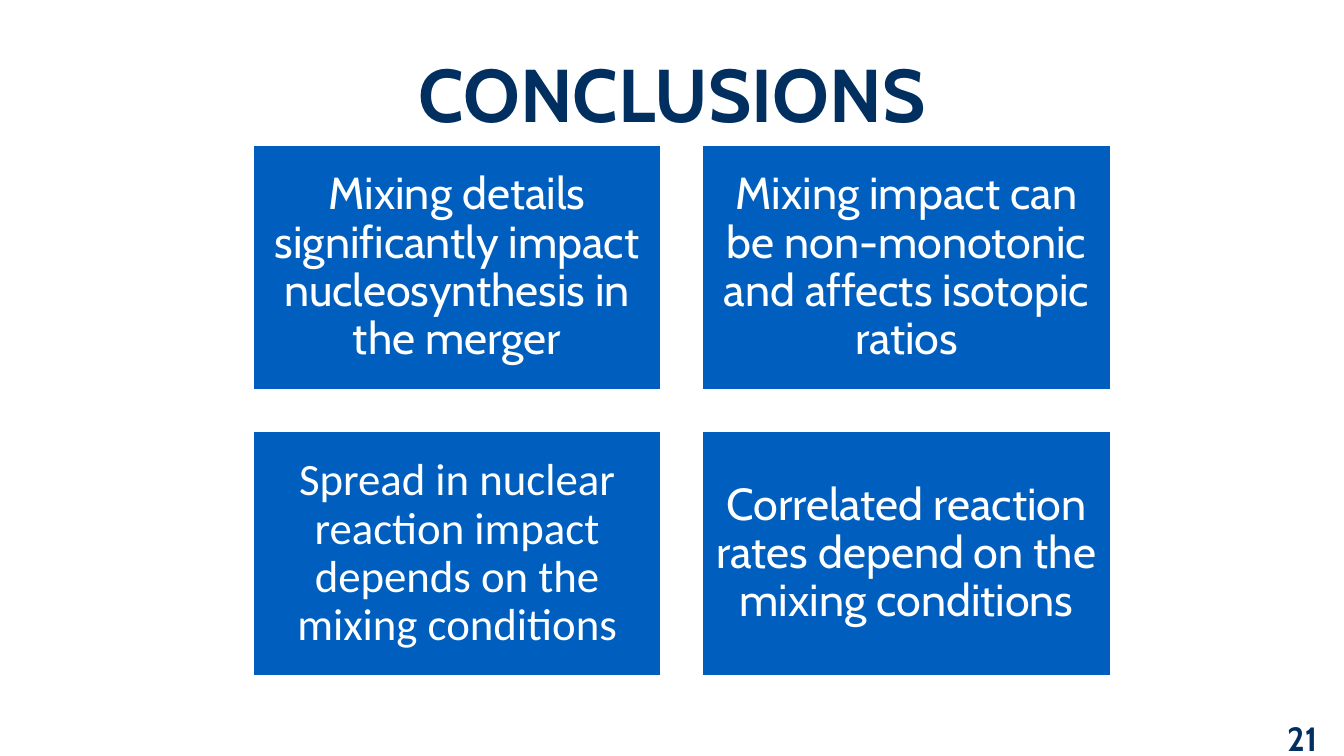
import pptx
import pptx.util
import pptx.dml.color
import pptx.enum.shapes
import pptx.enum.text

Pt = pptx.util.Pt
ALIGN = pptx.enum.text.PP_ALIGN
ANCHOR = pptx.enum.text.MSO_ANCHOR

# Content
TITLE = "CONCLUSIONS"
PAGE = "21"
CONCLUSIONS = [
    ("Mixing details significantly impact nucleosynthesis in the merger", "Cabin"),
    ("Mixing impact can be non-monotonic and affects isotopic ratios", "Cabin"),
    ("Spread in nuclear reaction impact depends on the mixing conditions", "Calibri"),
    ("Correlated reaction rates depend on the mixing conditions", "Cabin"),
]
NAVY, BLUE, WHITE = "002F60", "005FBE", "FFFFFF"

# Card grid, in points
COLUMNS = 2
LEFT, TOP = 135.5, 77.9
CARD_W, CARD_H = 218.75, 131.25
GAP = 22


def color(value):
    return pptx.dml.color.RGBColor.from_string(value)


def set_margins(tf, margin):
    tf.margin_left = tf.margin_right = Pt(margin)
    tf.margin_top = tf.margin_bottom = Pt(margin)


def add_run(p, text, size, font, fill, bold=False):
    r = p.add_run()
    r.text = text
    r.font.size = Pt(size)
    r.font.name = font
    r.font.bold = bold
    r.font.color.rgb = color(fill)


prs = pptx.Presentation()
prs.slide_width, prs.slide_height = Pt(720), Pt(405)
s = prs.slides.add_slide(prs.slide_layouts[5])

# Title
title = s.shapes.title
title.left, title.top, title.width, title.height = Pt(34), Pt(32.4), Pt(652), Pt(40.5)
tf = title.text_frame
tf.word_wrap = True
tf.auto_size = pptx.enum.text.MSO_AUTO_SIZE.NONE
tf.vertical_anchor = ANCHOR.TOP
set_margins(tf, 0)
p = tf.paragraphs[0]
p.alignment = ALIGN.CENTER
p.line_spacing = Pt(41)
add_run(p, TITLE, 40, "Cabin", NAVY, bold=True)

# Conclusion cards
for i, (text, font) in enumerate(CONCLUSIONS):
    row, column = divmod(i, COLUMNS)
    sp = s.shapes.add_shape(
        pptx.enum.shapes.MSO_SHAPE.RECTANGLE,
        Pt(LEFT + column * (CARD_W + GAP)), Pt(TOP + row * (CARD_H + GAP)),
        Pt(CARD_W), Pt(CARD_H))
    sp.shadow.inherit = False
    sp.fill.solid()
    sp.fill.fore_color.rgb = color(BLUE)
    sp.line.color.rgb = color(WHITE)
    sp.line.width = Pt(1)
    tf = sp.text_frame
    tf.word_wrap = True
    tf.vertical_anchor = ANCHOR.MIDDLE
    set_margins(tf, 7.2)
    p = tf.paragraphs[0]
    p.alignment = ALIGN.CENTER
    p.line_spacing = 0.9
    add_run(p, text, 24, font, WHITE)

# Page number
tf = s.shapes.add_textbox(Pt(682.5), Pt(381), Pt(36.7), Pt(29)).text_frame
tf.word_wrap = True
add_run(tf.paragraphs[0], PAGE, 18, "Cabin", NAVY, bold=True)

prs.save("out.pptx")
